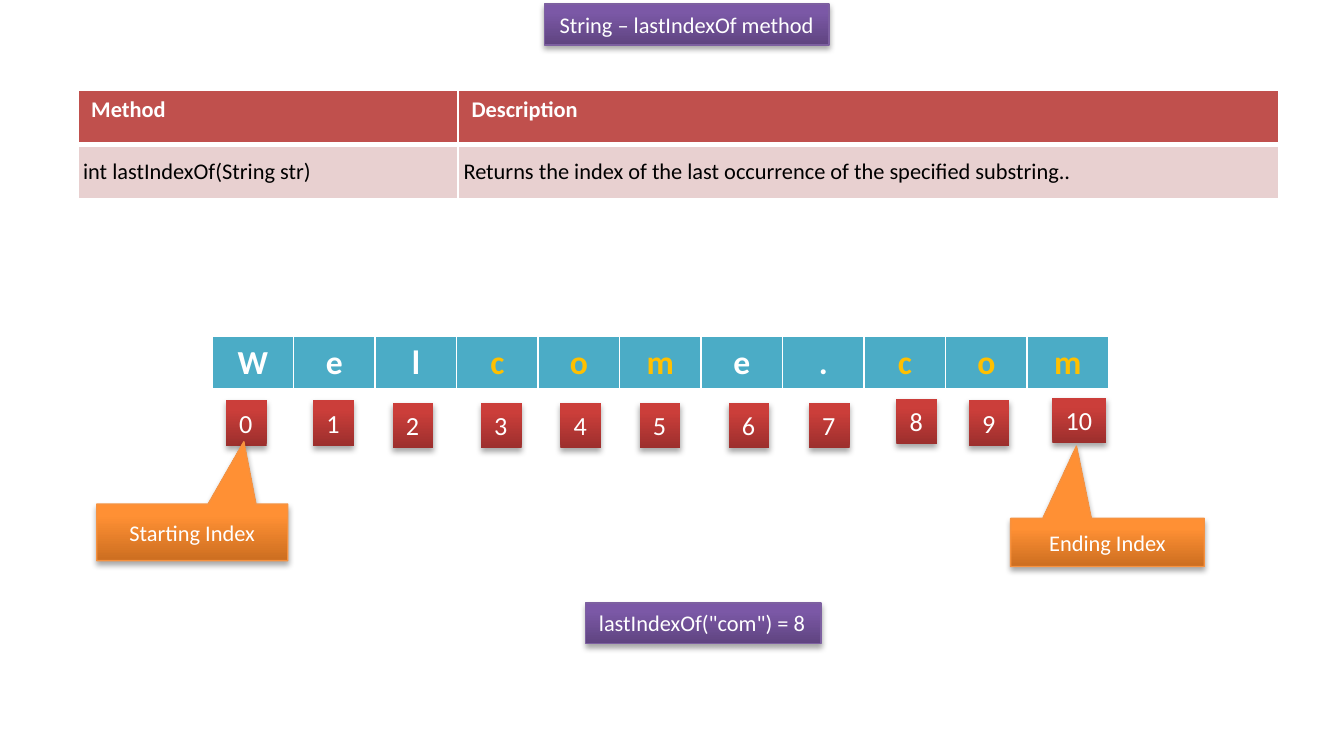
"""Build the slide on the lastIndexOf method."""
from dataclasses import dataclass

from lxml.etree import SubElement as Sub
from pptx import Presentation as Deck
from pptx.dml.color import RGBColor as Color
from pptx.enum.shapes import MSO_SHAPE as Kind
from pptx.enum.text import MSO_ANCHOR as Anchor
from pptx.enum.text import MSO_AUTO_SIZE as Fit
from pptx.enum.text import PP_ALIGN as Align
from pptx.oxml.ns import qn
from pptx.util import Cm, Pt


@dataclass(frozen=True)
class Theme:
    font: str = "Calibri"
    white: str = "FFFFFF"
    black: str = "000000"
    gold: str = "FFC000"
    head: str = "C0504D"
    body: str = "E8D0D0"
    teal: str = "4BACC6"
    purple: tuple = ("5F4480", "7B58A6", "7D60A0")
    red: tuple = ("9C2F2D", "CB3E3A", None)
    orange: tuple = ("CC6E20", "FF9034", "F69240")
    small: int = 12
    mid: int = 14
    large: int = 18


THEME = Theme()


def rgb(code):
    return Color.from_string(code)


def write(frame, text, size, color=THEME.white, bold=False, align=Align.LEFT):
    par = frame.paragraphs[0]
    par.alignment = align
    run = par.add_run()
    run.text = text
    font = run.font
    font.name, font.size, font.bold = THEME.font, Pt(size), bold
    font.color.rgb = rgb(color)


def shade(shape):
    shape.shadow.inherit = False
    group = shape.element.spPr.find(qn("a:effectLst"))
    outer = Sub(group, qn("a:outerShdw"), blurRad="40000", dist="23000",
                dir="5400000", rotWithShape="0")
    tint = Sub(outer, qn("a:srgbClr"), val=THEME.black)
    Sub(tint, qn("a:alpha"), val="35000")


def block(slide, kind, place, tones):
    shape = slide.shapes.add_shape(kind, *map(Cm, place))
    shade(shape)
    dark, light, edge = tones
    shape.fill.gradient()
    shape.fill.gradient_angle = 90
    for stop, tone, spot in zip(shape.fill.gradient_stops, (dark, light), (0, 0.8)):
        stop.color.rgb = rgb(tone)
        stop.position = spot
    if edge:
        shape.line.color.rgb = rgb(edge)
        shape.line.width = Pt(0.75)
    else:
        shape.line.fill.background()
    return shape


def label(slide, place, text, tones, size, wrap=False, align=Align.LEFT):
    frame = block(slide, Kind.RECTANGLE, place, tones).text_frame
    frame.word_wrap = wrap
    frame.auto_size = Fit.SHAPE_TO_FIT_TEXT
    frame.vertical_anchor = Anchor.TOP
    write(frame, text, size, align=align)


def callout(slide, place, text, tip):
    shape = block(slide, Kind.RECTANGULAR_CALLOUT, place, THEME.orange)
    shape.adjustments[0], shape.adjustments[1] = tip
    shape.text_frame.word_wrap = True
    shape.text_frame.vertical_anchor = Anchor.MIDDLE
    write(shape.text_frame, text, THEME.small, align=Align.CENTER)


def grid(slide, left, top, widths, high, rows):
    table = slide.shapes.add_table(
        rows, len(widths), Cm(left), Cm(top), Cm(sum(widths)), Cm(high * rows)).table
    table.horz_banding = False
    for col, width in zip(table.columns, widths):
        col.width = Cm(width)
    for row in table.rows:
        row.height = Cm(high)
    return table


def paint(cell, fill, base):
    props = cell._tc.get_or_add_tcPr()
    for side, width in (("L", 1), ("R", 1), ("T", 1), ("B", base)):
        line = Sub(props, qn(f"a:ln{side}"), w=str(Pt(width)))
        Sub(Sub(line, qn("a:solidFill")), qn("a:srgbClr"), val=THEME.white)
    cell.fill.solid()
    cell.fill.fore_color.rgb = rgb(fill)


def methods(slide):
    table = grid(slide, 1.47, 1.7, (7.19, 15.5), 1.03, 2)
    heads = ("Method", "Description")
    notes = ("int lastIndexOf(String str)",
             "Returns the index of the last occurrence of the specified substring..")
    for col, (head, note) in enumerate(zip(heads, notes)):
        cell = table.cell(0, col)
        paint(cell, THEME.head, 3)
        write(cell.text_frame, head, THEME.small, bold=True)
        cell = table.cell(1, col)
        paint(cell, THEME.body, 1)
        cell.margin_left = cell.margin_right = Cm(0.1)
        cell.margin_top = cell.margin_bottom = Cm(0.1)
        cell.vertical_anchor = Anchor.MIDDLE
        write(cell.text_frame, note, THEME.small, THEME.black)


def letters(slide, word, match):
    table = grid(slide, 4.01, 6.35, [1.54] * len(word), 1.03, 1)
    for col, char in enumerate(word):
        cell = table.cell(0, col)
        paint(cell, THEME.teal, 3)
        tone = THEME.gold if char in match else THEME.white
        write(cell.text_frame, char, THEME.large, tone, True, Align.CENTER)


def tiles(slide):
    spots = ((4.27, 7.57), (5.92, 7.57), (7.42, 7.62), (9.09, 7.62),
             (10.59, 7.62), (12.09, 7.62), (13.77, 7.62), (15.29, 7.62),
             (16.94, 7.54), (18.31, 7.57), (19.89, 7.52))
    for num, (left, top) in enumerate(spots):
        width = 0.77 if num < 10 else 1.02
        label(slide, (left, top, width, 0.86), str(num), THEME.red, THEME.mid)


def main():
    deck = Deck()
    deck.slide_width, deck.slide_height = Cm(25.4), Cm(13.97)
    slide = deck.slides.add_slide(deck.slide_layouts[6])
    label(slide, (10.29, 0.08, 5.38, 0.77), "String – lastIndexOf method",
          THEME.purple, THEME.small, True, Align.CENTER)
    methods(slide)
    letters(slide, "Welcome.com", "com")
    tiles(slide)
    callout(slide, (1.83, 9.53, 3.61, 1.07), "Starting Index", (0.27, -1.6))
    callout(slide, (19.1, 9.8, 3.66, 0.91), "Ending Index", (-0.16, -2))
    label(slide, (11.07, 11.4, 4.45, 0.77), 'lastIndexOf("com") = 8',
          THEME.purple, THEME.small)
    deck.save("out.pptx")


if __name__ == "__main__":
    main()
